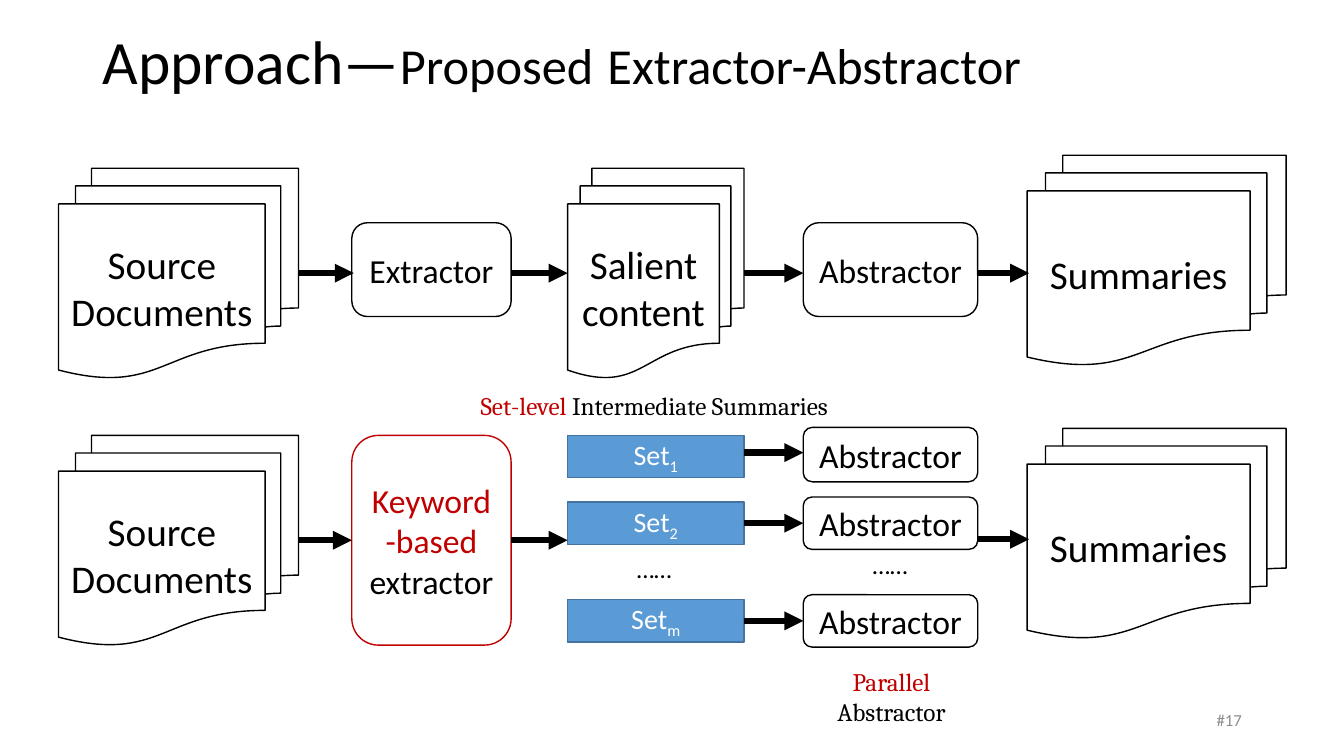
from lxml import etree
from pptx import Presentation
from pptx.dml.color import RGBColor
from pptx.enum.shapes import MSO_CONNECTOR, MSO_SHAPE as SHAPE
from pptx.enum.text import MSO_ANCHOR as ANCHOR, PP_ALIGN as ALIGN
from pptx.oxml.ns import qn
from pptx.util import Pt

BLACK, WHITE, RED, GRAY = "000000", "FFFFFF", "C00000", "8C8C8C"
BLUE, DARK_BLUE = "5B9BD5", "43739E"
DOC, ROUND, RECT = SHAPE.FLOWCHART_MULTIDOCUMENT, SHAPE.ROUNDED_RECTANGLE, SHAPE.RECTANGLE
LEFT, RIGHT_SIDE = 1, 3

SOURCE_X, SOURCE_W = 41.8, 171.4
EXTRACT_X, EXTRACT_W = 251.3, 113.8
MIDDLE_X, MIDDLE_W = 405.4, 126
ABSTRACT_X, ABSTRACT_W = 573.8, 124.6
SUMMARY_X, SUMMARY_W = 733.7, 185
DOC_H, SET_H = 149.8, 30.2
TOP_1, TOP_2 = 120.2, 311
ROW_1, ROW_2 = TOP_1 + DOC_H / 2, TOP_2 + DOC_H / 2

DOCS = [
    ("source 1", "Source Documents", SOURCE_X, TOP_1, SOURCE_W),
    ("salient", "Salient content", MIDDLE_X, TOP_1, MIDDLE_W),
    ("summary 1", "Summaries", SUMMARY_X, 110.9, SUMMARY_W),
    ("source 2", "Source Documents", SOURCE_X, TOP_2, SOURCE_W),
    ("summary 2", "Summaries", SUMMARY_X, 306, SUMMARY_W),
]
STEPS = [
    ("extractor", [("Extractor", RED)], EXTRACT_X, 159.1, EXTRACT_W, 67),
    ("abstractor", [("Abstractor", BLACK)], ABSTRACT_X, 159.1, ABSTRACT_W, 67),
    ("keyword", [("Keyword-based", RED), (" extractor", BLACK)],
     EXTRACT_X, TOP_2, EXTRACT_W, DOC_H),
]
STEPS[0] = ("extractor", [("Extractor", BLACK)], *STEPS[0][2:])
SETS = [("1", 311, 305.3, 38.9), ("2", 358.6, 355, 37.4), ("m", 428.4, 424.8, 37.4)]
ARROWS = [
    (SOURCE_X + SOURCE_W, 252.7, ROW_1, "source 1", None),
    (EXTRACT_X + EXTRACT_W, MIDDLE_X, ROW_1, None, "salient"),
    (MIDDLE_X + MIDDLE_W, ABSTRACT_X, ROW_1, "salient", None),
    (ABSTRACT_X + ABSTRACT_W, 735.1, ROW_1, None, None),
    (SOURCE_X + SOURCE_W, EXTRACT_X, ROW_2, "source 2", "keyword"),
    (EXTRACT_X + EXTRACT_W, MIDDLE_X, ROW_2, "keyword", None),
    (MIDDLE_X + MIDDLE_W, ABSTRACT_X, 323.3, None, None),
    (MIDDLE_X + MIDDLE_W, ABSTRACT_X, 373.7, "set 2", "abstractor 2"),
    (MIDDLE_X + MIDDLE_W, ABSTRACT_X, 443.5, "set m", "abstractor m"),
    (ABSTRACT_X + ABSTRACT_W, 735.1, 385.2, None, None),
]
TITLE = [("Approach—", 44), ("Proposed", 36), (" ", 44), ("Extractor-Abstractor", 36)]
DOTS = [(447.8, 391.7), (616.3, 388.8)]

prs = Presentation()
prs.slide_width, prs.slide_height = Pt(960), Pt(540)
s = prs.slides.add_slide(prs.slide_layouts[6])
nodes = {}


def rgb(value):
    return RGBColor.from_string(value)


def write(p, runs, size, font="Calibri", align=ALIGN.CENTER):
    p.alignment = align
    p.font.size, p.font.name = Pt(size), font
    if len({color for _, color in runs}) == 1:
        p.font.color.rgb = rgb(runs[0][1])
    for text, color in runs:
        r = p.add_run()
        r.text = text
        if len(runs) > 1:
            r.font.color.rgb = rgb(color)


def add_node(name, kind, x, y, w, h, runs, size, fill=WHITE, line=BLACK):
    sp = s.shapes.add_shape(kind, Pt(x), Pt(y), Pt(w), Pt(h))
    sp.shadow.inherit = False
    if fill:
        sp.fill.solid()
        sp.fill.fore_color.rgb = rgb(fill)
    else:
        sp.fill.background()
    sp.line.color.rgb, sp.line.width = rgb(line), Pt(1)
    tf = sp.text_frame
    tf.word_wrap, tf.vertical_anchor = True, ANCHOR.MIDDLE
    write(tf.paragraphs[0], runs, size)
    nodes[name] = sp
    return tf.paragraphs[0]


def add_text(x, y, w, h, lines, size, font="Calibri", align=ALIGN.LEFT,
             wrap=True, anchor=ANCHOR.TOP):
    tf = s.shapes.add_textbox(Pt(x), Pt(y), Pt(w), Pt(h)).text_frame
    tf.word_wrap, tf.vertical_anchor = wrap, anchor
    for i, runs in enumerate(lines):
        p = tf.add_paragraph() if i else tf.paragraphs[0]
        write(p, runs, size, font, align)
    return tf.paragraphs[0]


def add_arrow(x1, x2, y, start, end):
    c = s.shapes.add_connector(MSO_CONNECTOR.STRAIGHT, Pt(x1), Pt(y), Pt(x2), Pt(y))
    c.line.color.rgb, c.line.width = rgb(BLACK), Pt(4.5)
    etree.SubElement(c.line._get_or_add_ln(), qn("a:tailEnd"), type="triangle")
    etree.SubElement(c._element.spPr, qn("a:effectLst"))
    if start:
        c.begin_connect(nodes[start], RIGHT_SIDE)
    if end:
        c.end_connect(nodes[end], LEFT)


title = add_text(66.2, -5.8, 828, 104.4, [[(text, BLACK) for text, _ in TITLE]], 44,
                 anchor=ANCHOR.MIDDLE)
title.line_spacing = 0.9
for r, (_, size) in zip(title.runs, TITLE):
    r.font.size = Pt(size)

for name, text, x, y, w in DOCS:
    add_node(name, DOC, x, y, w, DOC_H, [(text, BLACK)], 28)
for name, runs, x, y, w, h in STEPS:
    keyword = name == "keyword"
    add_node(name, ROUND, x, y, w, h, runs, 24,
             None if keyword else WHITE, RED if keyword else BLACK)
for index, set_y, abstract_y, abstract_h in SETS:
    p = add_node(f"set {index}", RECT, MIDDLE_X, set_y, MIDDLE_W, SET_H,
                 [("Set", WHITE), (index, WHITE)], 20, BLUE, DARK_BLUE)
    p.runs[1].font._element.set("baseline", "-25000")
    add_node(f"abstractor {index}", ROUND, ABSTRACT_X, abstract_y, ABSTRACT_W,
             abstract_h, [("Abstractor", BLACK)], 24)
for arrow in ARROWS:
    add_arrow(*arrow)

for x, y in DOTS:
    add_text(x, y, 40.3, 28.8, [[("……", BLACK)]], 18, wrap=False)
add_text(336.2, 275, 264.2, 28.8,
         [[("Set-level", RED), (" Intermediate Summaries", BLACK)]], 18, "Cambria", wrap=False)
add_text(501.1, 472.3, 271.4, 51.1, [[("Parallel", RED)], [("Abstractor", BLACK)]], 18,
         "Cambria", ALIGN.CENTER)
add_text(678.2, 499.7, 216, 28.8, [[("#17", GRAY)]], 12, align=ALIGN.RIGHT,
         anchor=ANCHOR.MIDDLE)

prs.save("out.pptx")
